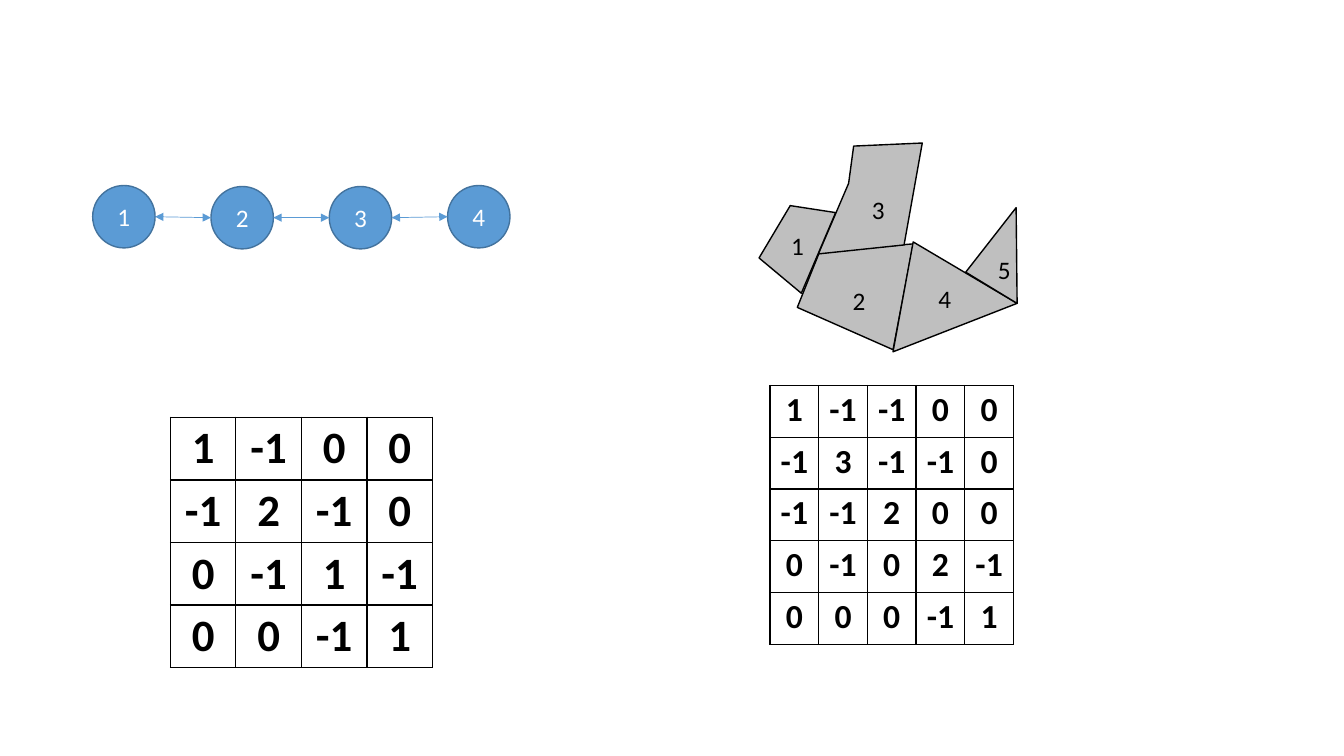
"""Build a slide that pairs a chain graph and a region map with their Laplacian matrices."""
import pptx
import pptx.dml.color
import pptx.enum.shapes
import pptx.enum.text
import pptx.oxml
import pptx.oxml.ns
import pptx.util

Pt = pptx.util.Pt
RGB = pptx.dml.color.RGBColor.from_string
CENTER = pptx.enum.text.PP_ALIGN.CENTER

THEME = {
    "font": "Calibri",
    "node": "5B9BD5", "node_edge": "43739E", "node_text": "FFFFFF",
    "region": "BFBFBF", "ink": "000000",
    "label_size": 18, "outline": 1, "link": 0.5,
}

CHAIN = {"left": 66.2, "step": 84.5, "diameter": 44.6,
         "tops": {"1": 132.5, "2": 133.2, "3": 133.2, "4": 132.5}}

REGIONS = [
    ("2", (601.9, 200.2), [(569.5, 219.6), (637.9, 249.8), (652.3, 174.2), (585.4, 180)]),
    ("3", (615.6, 135.4), [(645.8, 175), (658.8, 102.2), (609.8, 104.4), (606.2, 131), (584.6, 181.4)]),
    ("4", (663.1, 198.7), [(637.9, 251.3), (726.5, 216.7), (652.3, 172.8)]),
    ("5", (705.6, 177.8), [(726.5, 216.7), (725.8, 148.3), (689.8, 194.4)]),
    ("1", (558, 161.3), [(542.2, 184.3), (572.4, 209.5), (596.9, 151.9), (564.5, 146.9)]),
]
LABEL_BOX = (26, 29)

MATRICES = [
    {"origin": (121.7, 298.1), "cell": (46.8, 44.5), "size": 32, "rows": [
        (1, -1, 0, 0),
        (-1, 2, -1, 0),
        (0, -1, 1, -1),
        (0, 0, -1, 1)]},
    {"origin": (550, 275.3), "cell": (34.8, 37), "size": 24, "rows": [
        (1, -1, -1, 0, 0),
        (-1, 3, -1, -1, 0),
        (-1, -1, 2, 0, 0),
        (0, -1, 0, 2, -1),
        (0, 0, 0, -1, 1)]},
]
CELL_INSETS = (5.2, 2.8)


def write(frame, text, color, size, bold=False, align=None):
    paragraph = frame.paragraphs[0]
    paragraph.text = text
    paragraph.alignment = align
    paragraph.font.name = THEME["font"]
    paragraph.font.size = Pt(size)
    paragraph.font.bold = bold
    paragraph.font.color.rgb = RGB(color)


def paint(shape, fill, edge):
    shape.shadow.inherit = False
    shape.fill.solid()
    shape.fill.fore_color.rgb = RGB(fill)
    shape.line.color.rgb = RGB(edge)
    shape.line.width = Pt(THEME["outline"])


def add_link(shapes, start, end):
    link = shapes.add_connector(
        pptx.enum.shapes.MSO_CONNECTOR.STRAIGHT, *(Pt(v) for v in start + end))
    link.line.color.rgb = RGB(THEME["node"])
    link.line.width = Pt(THEME["link"])
    stroke = link.line._get_or_add_ln()
    for arrowhead in ("a:headEnd", "a:tailEnd"):
        pptx.oxml.ns.qn(arrowhead)
        stroke.append(pptx.oxml.parse_xml(
            f'<{arrowhead} {pptx.oxml.ns.nsdecls("a")} type="triangle"/>'))
    link._element.spPr.append(pptx.oxml.parse_xml(
        f'<a:effectLst {pptx.oxml.ns.nsdecls("a")}/>'))


def add_chain(shapes):
    diameter = CHAIN["diameter"]
    previous = None
    for index, (name, top) in enumerate(CHAIN["tops"].items()):
        left = CHAIN["left"] + index * CHAIN["step"]
        node = shapes.add_shape(pptx.enum.shapes.MSO_SHAPE.OVAL,
                                Pt(left), Pt(top), Pt(diameter), Pt(diameter))
        paint(node, THEME["node"], THEME["node_edge"])
        node.text_frame.vertical_anchor = pptx.enum.text.MSO_ANCHOR.MIDDLE
        write(node.text_frame, name, THEME["node_text"], THEME["label_size"], align=CENTER)
        middle = top + diameter / 2
        if previous:
            add_link(shapes, previous, (left, middle))
        previous = (left + diameter, middle)


def add_regions(shapes):
    for _, _, corners in REGIONS:
        first, *others = [(Pt(x), Pt(y)) for x, y in corners]
        outline = shapes.build_freeform(*first)
        outline.add_line_segments(others, close=True)
        paint(outline.convert_to_shape(), THEME["region"], THEME["ink"])
    for name, position, _ in REGIONS:
        label = shapes.add_textbox(*(Pt(v) for v in position + LABEL_BOX))
        label.text_frame.word_wrap = True
        write(label.text_frame, name, THEME["ink"], THEME["label_size"])


def add_borders(cell):
    for side in ("lnL", "lnR", "lnT", "lnB"):
        cell._tc.get_or_add_tcPr().append(pptx.oxml.parse_xml(
            f'<a:{side} {pptx.oxml.ns.nsdecls("a")} w="{Pt(THEME["outline"])}">'
            f'<a:solidFill><a:srgbClr val="{THEME["ink"]}"/></a:solidFill></a:{side}>'))


def add_matrix(shapes, matrix):
    rows = matrix["rows"]
    width, height = matrix["cell"]
    left, top = matrix["origin"]
    grid = shapes.add_table(len(rows), len(rows[0]), Pt(left), Pt(top),
                            Pt(width * len(rows[0])), Pt(height * len(rows))).table
    grid.first_row = grid.horz_banding = False
    for column in grid.columns:
        column.width = Pt(width)
    for row, values in zip(grid.rows, rows):
        row.height = Pt(height)
        for cell, value in zip(row.cells, values):
            cell.margin_left = cell.margin_right = Pt(CELL_INSETS[0])
            cell.margin_top = cell.margin_bottom = Pt(CELL_INSETS[1])
            add_borders(cell)
            cell.fill.background()
            write(cell.text_frame, str(value), THEME["ink"], matrix["size"], True, CENTER)


def main():
    deck = pptx.Presentation()
    deck.slide_width, deck.slide_height = Pt(960), Pt(540)
    shapes = deck.slides.add_slide(deck.slide_layouts[6]).shapes
    add_chain(shapes)
    for matrix in MATRICES:
        add_matrix(shapes, matrix)
    add_regions(shapes)
    deck.save("out.pptx")


if __name__ == "__main__":
    main()
